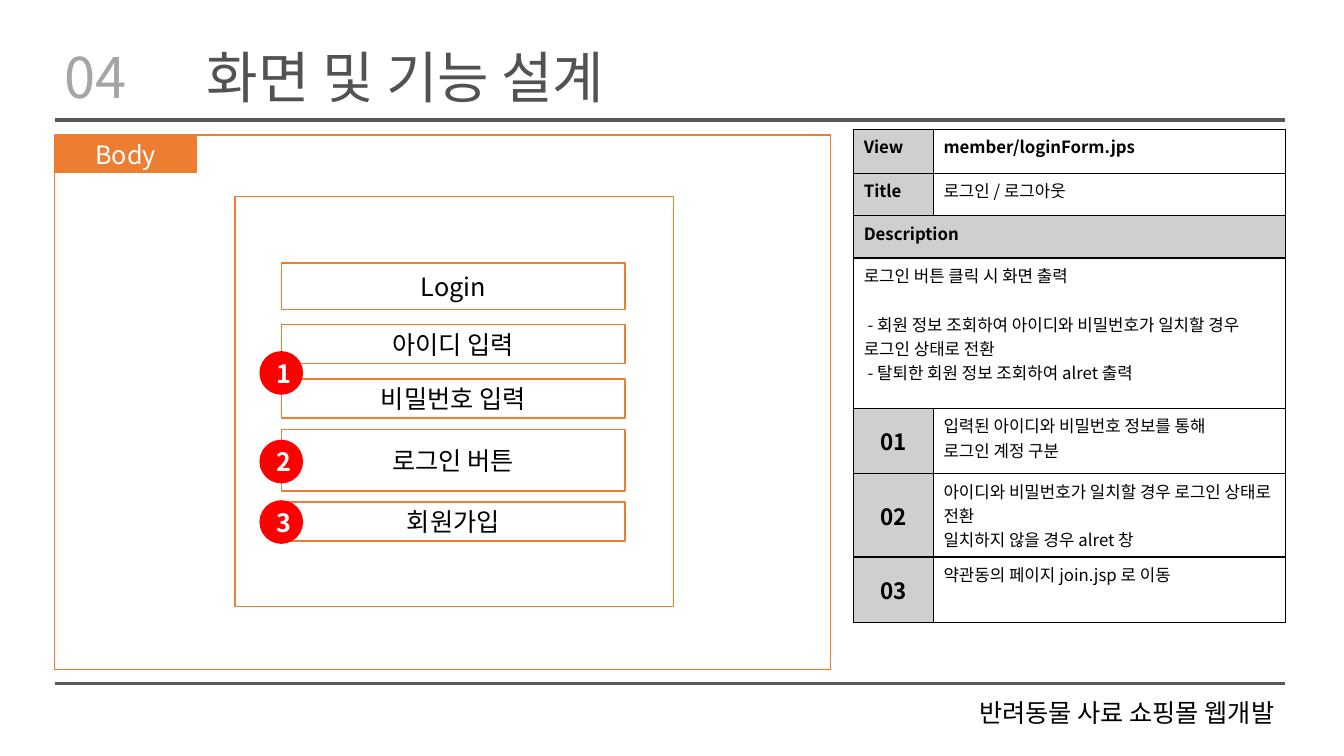
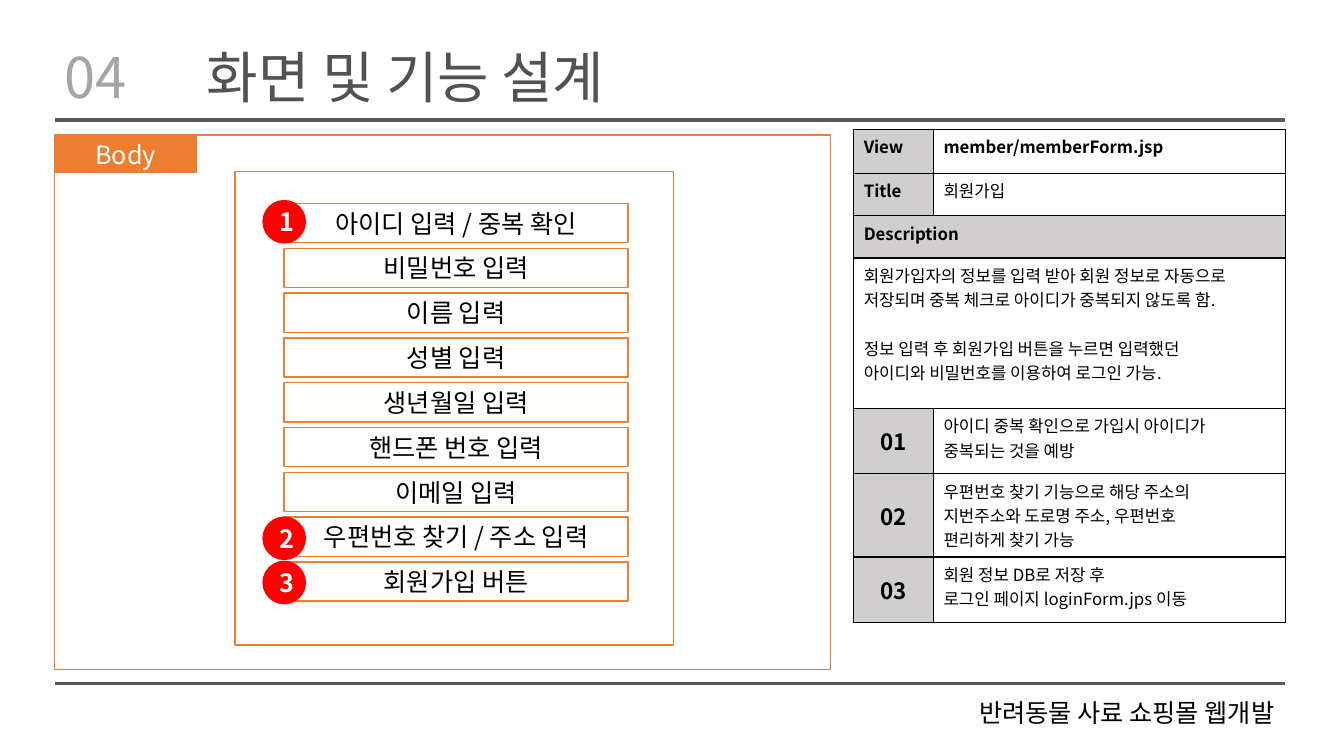
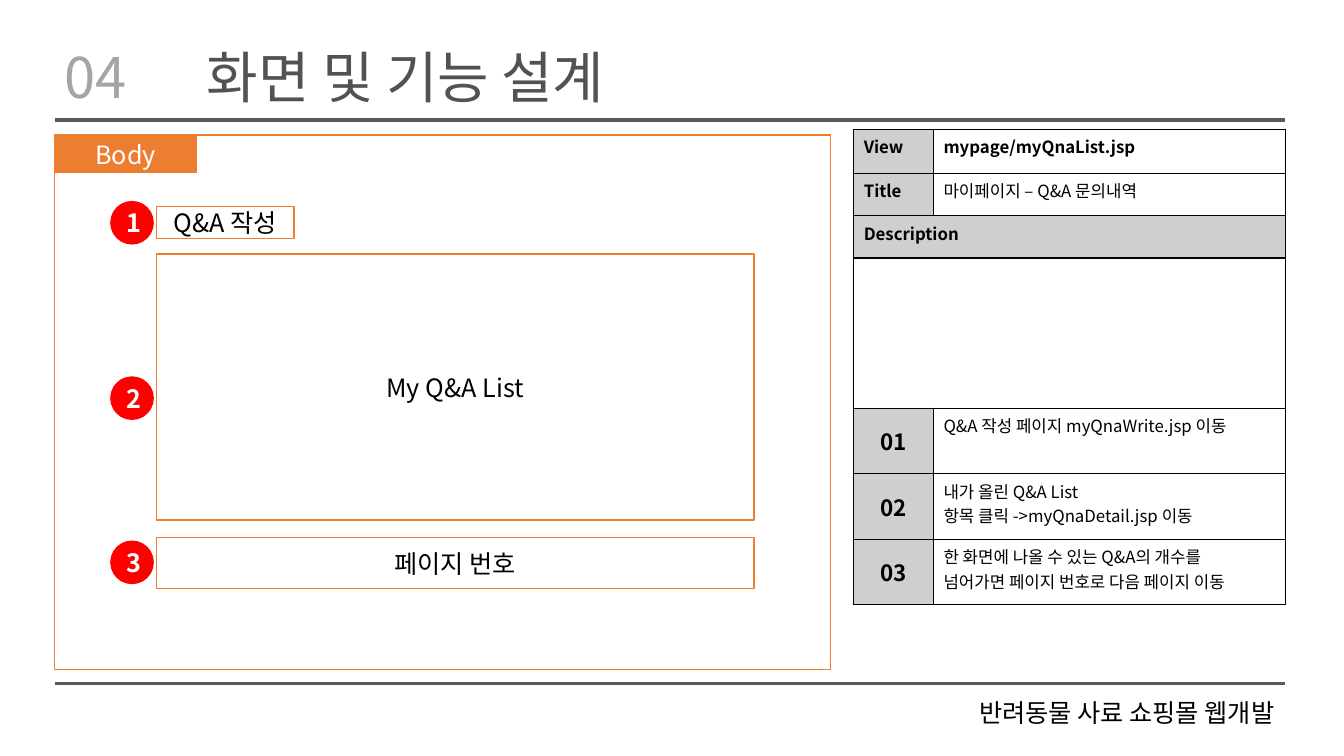
from dataclasses import dataclass
from itertools import chain
from typing import Any

from pptx import Presentation
from pptx.dml.color import RGBColor
from pptx.enum import shapes, text
from pptx.oxml import ns, xmlchemy
from pptx.util import Pt

FONT = "Noto Sans CJK KR"
BLACK, WHITE = "000000", "FFFFFF"
RULE, NUMBER, TITLE = "595959", "A5A5A5", "525252"
ORANGE, RED, HEADING_FILL = "ED7D31", "FF0000", "D0CECE"

LEFT, RIGHT = 39, 918
BADGE_SIZE = 30.2
COLUMN_WIDTHS = (57, 251.2)
ROW_HEIGHTS = (31.7, 30.2, 30.2, 107.3, 46.8, 46.8, 46.8)
BLANK_LINE = 17.4

CENTER, MIDDLE = text.PP_ALIGN.CENTER, text.MSO_ANCHOR.MIDDLE
HEADING_BOX = {"word_wrap": True, "auto_size": text.MSO_AUTO_SIZE.NONE, "vertical_anchor": MIDDLE}


@dataclass(frozen=True)
class Box:
    left: float
    top: float
    width: float
    height: float
    label: str = ""

    @property
    def lengths(self) -> tuple[Pt, ...]:
        return tuple(Pt(length) for length in (self.left, self.top, self.width, self.height))


@dataclass(frozen=True)
class Screen:
    """One page design: its wireframe, numbered badges and description table."""
    view: str
    title: str
    description: tuple[tuple[str, ...], ...]
    notes: tuple[tuple[str, ...], ...]
    boxes: tuple[Box, ...]
    badge_left: float
    badge_tops: tuple[float, ...]


FRAME = Box(LEFT, 96.5, 554.4, 381.6)
BODY_TAG = Box(LEFT, 98, 101.5, 25.2, "Body")
NUMBER_BOX = Box(LEFT, 33.8, 60.5, 47.5, "04")
TITLE_BOX = Box(140.4, 33.8, 777.6, 47.5, "화면 및 기능 설계")
FOOTER_BOX = Box(556.6, 499, 360.7, 26.6, "반려동물 사료 쇼핑몰 웹개발")
TABLE_BOX = Box(609.8, 92.2, sum(COLUMN_WIDTHS), sum(ROW_HEIGHTS))

JOIN_FIELDS = ("아이디 입력 / 중복 확인", "비밀번호 입력", "이름 입력", "성별 입력", "생년월일 입력",
               "핸드폰 번호 입력", "이메일 입력", "우편번호 찾기 / 주소 입력", "회원가입 버튼")

SCREENS = (
    Screen(
        "member/loginForm.jps", "로그인 / 로그아웃",
        (("로그인 버튼 클릭 시 화면 출력",),
         (" - 회원 정보 조회하여 아이디와 비밀번호가 일치할 경우 로그인 상태로 전환",
          " - 탈퇴한 회원 정보 조회하여 alret 출력")),
        (("입력된 아이디와 비밀번호 정보를 통해", "로그인 계정 구분"),
         ("아이디와 비밀번호가 일치할 경우 로그인 상태로 전환", "일치하지 않을 경우 alret 창"),
         ("약관동의 페이지 join.jsp 로 이동",)),
        (Box(167.8, 140.4, 313.2, 293),
         Box(201, 188, 245.5, 33, "Login"),
         Box(201, 231.8, 245.5, 28, "아이디 입력"),
         Box(201, 270.7, 245.5, 28, "비밀번호 입력"),
         Box(201, 306.7, 245.5, 44, "로그인 버튼"),
         Box(201, 358.6, 245.5, 28, "회원가입")),
        185.8, (251.3, 314.6, 357.8)),
    Screen(
        "member/memberForm.jsp", "회원가입",
        (("회원가입자의 정보를 입력 받아 회원 정보로 자동으로 저장되며 중복 체크로 아이디가 중복되지 않도록 함.",),
         ("정보 입력 후 회원가입 버튼을 누르면 입력했던", "아이디와 비밀번호를 이용하여 로그인 가능.")),
        (("아이디 중복 확인으로 가입시 아이디가", "중복되는 것을 예방"),
         ("우편번호 찾기 기능으로 해당 주소의", "지번주소와 도로명 주소, 우편번호", "편리하게 찾기 가능"),
         ("회원 정보 DB로 저장 후", "로그인 페이지 loginForm.jps 이동")),
        (Box(167.8, 122.4, 313.2, 338.4),
         *(Box(203, 145.4 + 32 * row, 245.5, 28, label) for row, label in enumerate(JOIN_FIELDS))),
        187.9, (143.3, 369.4, 401)),
    Screen(
        "mypage/myQnaList.jsp", "마이페이지 – Q&A 문의내역",
        (),
        (("Q&A 작성 페이지 myQnaWrite.jsp 이동",),
         ("내가 올린 Q&A List", "항목 클릭 ->myQnaDetail.jsp 이동"),
         ("한 화면에 나올 수 있는 Q&A의 개수를", "넘어가면 페이지 번호로 다음 페이지 이동")),
        (Box(111.6, 147.6, 98.6, 23, "Q&A 작성"),
         Box(111.6, 181.4, 427, 190, "My Q&A List"),
         Box(111.6, 383.8, 427, 36.7, "페이지 번호")),
        79.2, (144, 269.3, 386.6)),
)


def color(value: str) -> RGBColor:
    return RGBColor.from_string(value)


def apply_format(target: Any, values: dict[str, Any]) -> None:
    for name, value in values.items():
        setattr(target, name, value)


def write(paragraph: Any, content: str, size: float, font_color: str, bold: bool = False,
          **layout: Any) -> None:
    run = paragraph.add_run()
    run.text = content
    apply_format(run.font, {"name": FONT, "size": Pt(size), "bold": bold})
    run.font.color.rgb = color(font_color)
    properties = run.font._element
    properties.find(ns.qn("a:latin")).addnext(
        xmlchemy.OxmlElement("a:ea"))
    properties.find(ns.qn("a:ea")).set("typeface", FONT)
    apply_format(paragraph, layout)


def add_box(slide: Any, box: Box, fill: str | None = None, line: str | None = ORANGE,
            font_color: str = BLACK, bold: bool = False,
            kind: Any = shapes.MSO_SHAPE.RECTANGLE) -> Any:
    shape = slide.shapes.add_shape(kind, *box.lengths)
    shape.shadow.inherit = False
    if fill:
        shape.fill.solid()
        shape.fill.fore_color.rgb = color(fill)
    else:
        shape.fill.background()
    if line:
        shape.line.color.rgb = color(line)
        shape.line.width = Pt(1)
    else:
        shape.line.fill.background()
    if box.label:
        shape.text_frame.vertical_anchor = MIDDLE
        write(shape.text_frame.paragraphs[0], box.label, 18, font_color, bold, alignment=CENTER)
    return shape


def add_rule(slide: Any, top: float, width: float) -> None:
    rule = slide.shapes.add_connector(
        shapes.MSO_CONNECTOR.STRAIGHT, Pt(LEFT), Pt(top), Pt(RIGHT), Pt(top))
    rule.line.color.rgb = color(RULE)
    rule.line.width = Pt(width)
    rule._element.spPr.append(xmlchemy.OxmlElement("a:effectLst"))


def write_heading(shape: Any, label: str, font_color: str) -> None:
    apply_format(shape.text_frame, HEADING_BOX)
    write(shape.text_frame.paragraphs[0], label, 40, font_color,
          alignment=text.PP_ALIGN.LEFT, line_spacing=0.9, space_before=Pt(10))


def add_page_furniture(slide: Any) -> None:
    add_rule(slide, 85.7, 2.25)
    add_rule(slide, 488.2, 1.5)
    title = slide.shapes.title
    apply_format(title, dict(zip(("left", "top", "width", "height"), TITLE_BOX.lengths)))
    write_heading(title, TITLE_BOX.label, TITLE)
    write_heading(slide.shapes.add_textbox(*NUMBER_BOX.lengths), NUMBER_BOX.label, NUMBER)
    footer = add_box(slide, FOOTER_BOX, WHITE, None)
    footer.text_frame.vertical_anchor = text.MSO_ANCHOR.TOP
    apply_format(footer.text_frame.paragraphs[0],
                 {"alignment": text.PP_ALIGN.RIGHT, "line_spacing": 0.8, "space_before": Pt(10)})


def style_cell(cell: Any, fill: str) -> None:
    """Give the cell a black border on every side and a plain fill."""
    properties = cell._tc.get_or_add_tcPr()
    for side in ("lnL", "lnR", "lnT", "lnB"):
        border = xmlchemy.OxmlElement(f"a:{side}")
        border.set("w", str(Pt(1)))
        solid = xmlchemy.OxmlElement("a:solidFill")
        border_color = xmlchemy.OxmlElement("a:srgbClr")
        border_color.set("val", BLACK)
        solid.append(border_color)
        border.append(solid)
        properties.append(border)
    cell.fill.solid()
    cell.fill.fore_color.rgb = color(fill)


def write_blocks(cell: Any, blocks: tuple[tuple[str, ...], ...], bold: bool = False) -> None:
    """Write one paragraph per line, with a gap of one line between blocks."""
    lines = chain.from_iterable(
        ((line, block > 0 and position == 0) for position, line in enumerate(content))
        for block, content in enumerate(blocks))
    for index, (line, gap) in enumerate(lines):
        frame = cell.text_frame
        paragraph = frame.add_paragraph() if index else frame.paragraphs[0]
        write(paragraph, line, 12, BLACK, bold, space_before=Pt(BLANK_LINE if gap else 0))


def add_description_table(slide: Any, screen: Screen) -> None:
    table = slide.shapes.add_table(len(ROW_HEIGHTS), len(COLUMN_WIDTHS), *TABLE_BOX.lengths).table
    apply_format(table, {"first_row": False, "horz_banding": False})
    for column, width in zip(table.columns, COLUMN_WIDTHS):
        column.width = Pt(width)
    for index, (row, height) in enumerate(zip(table.rows, ROW_HEIGHTS)):
        row.height = Pt(height)
        style_cell(row.cells[0], WHITE if index == 3 else HEADING_FILL)
        style_cell(row.cells[1], HEADING_FILL if index == 2 else WHITE)
    for index in (2, 3):
        table.cell(index, 0).merge(table.cell(index, 1))
    for index, heading in enumerate(("View", "Title", "Description")):
        write_blocks(table.cell(index, 0), ((heading,),), bold=True)
    write_blocks(table.cell(0, 1), ((screen.view,),), bold=True)
    write_blocks(table.cell(1, 1), ((screen.title,),))
    write_blocks(table.cell(3, 0), screen.description)
    for number, note in enumerate(screen.notes, start=1):
        number_cell, note_cell = table.rows[3 + number].cells
        number_cell.vertical_anchor = MIDDLE
        write(number_cell.text_frame.paragraphs[0], f"{number:02}", 16, BLACK, True,
              alignment=CENTER)
        write_blocks(note_cell, (note,))


def add_wireframe(slide: Any, screen: Screen) -> None:
    add_box(slide, FRAME)
    add_box(slide, BODY_TAG, ORANGE, font_color=WHITE)
    for box in screen.boxes:
        add_box(slide, box)
    for number, top in enumerate(screen.badge_tops, start=1):
        badge = Box(screen.badge_left, top, BADGE_SIZE, BADGE_SIZE, str(number))
        add_box(slide, badge, RED, RED, WHITE, True, shapes.MSO_SHAPE.OVAL)


def main() -> None:
    presentation = Presentation()
    apply_format(presentation, {"slide_width": Pt(960), "slide_height": Pt(540)})
    title_only = presentation.slide_layouts[5]
    for screen in SCREENS:
        slide = presentation.slides.add_slide(title_only)
        add_page_furniture(slide)
        add_description_table(slide, screen)
        add_wireframe(slide, screen)
    presentation.save("out.pptx")


if __name__ == "__main__":
    main()
